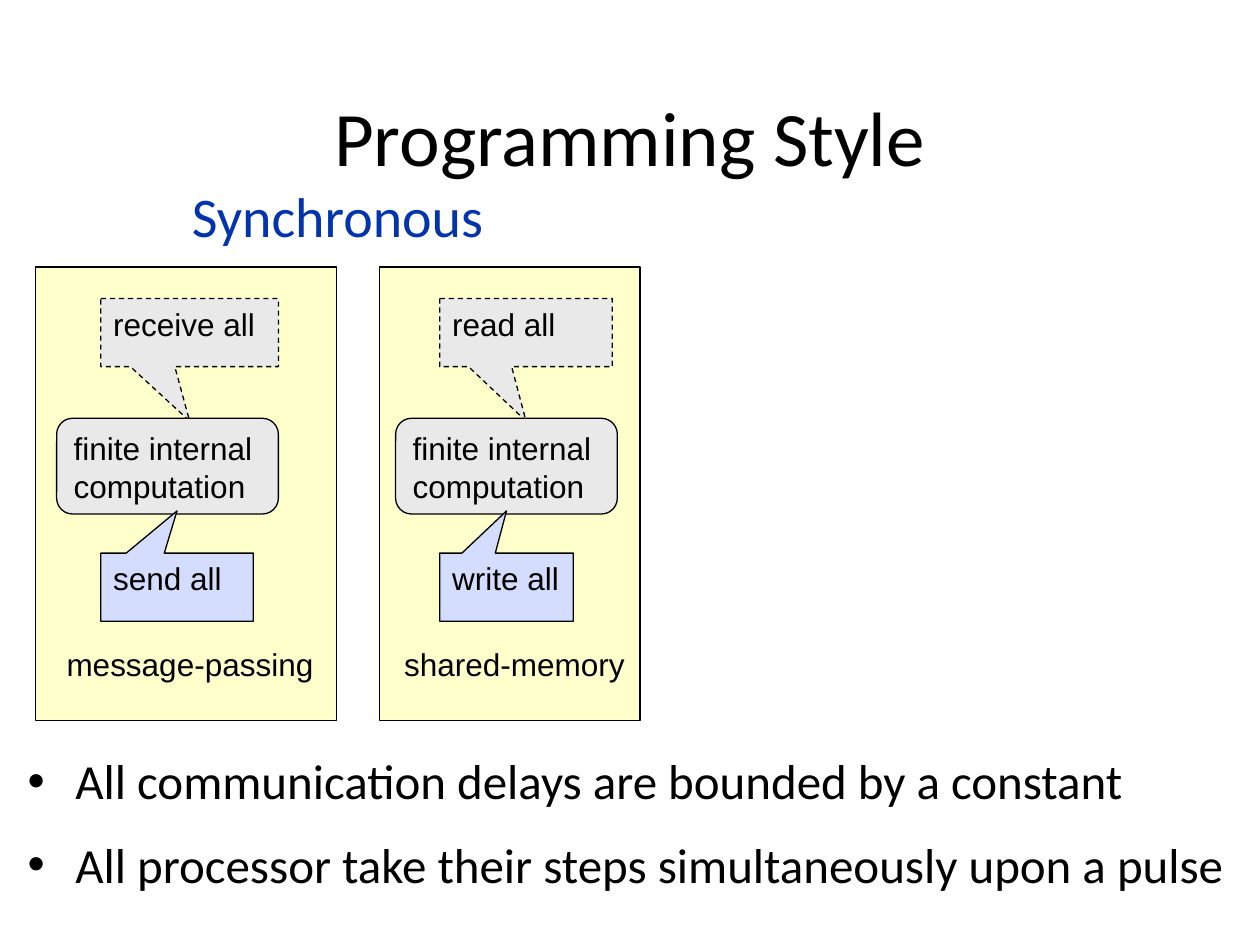
from lxml.etree import SubElement
from pptx import Presentation
from pptx.dml.color import RGBColor
from pptx.enum.dml import MSO_LINE
from pptx.enum.shapes import MSO_SHAPE as SHAPE
from pptx.enum.text import MSO_ANCHOR as ANCHOR, PP_ALIGN as ALIGN
from pptx.oxml.ns import qn
from pptx.util import Inches, Pt

COLORS = {"text": "000000", "heading": "0234AD", "panel": "FFFFCC",
          "input": "E9E9E9", "output": "D4DDFE"}
LABEL = {"size": Pt(18), "name": "Arial"}


def write(shape, lines, font, color="text", align=ALIGN.LEFT, anchor=ANCHOR.TOP, wrap=True):
    frame = shape.text_frame
    frame.word_wrap = wrap
    frame.vertical_anchor = anchor
    frame.text = "\n".join(lines)
    for paragraph in frame.paragraphs:
        paragraph.alignment = align
        for run in paragraph.runs:
            for attribute, value in font.items():
                setattr(run.font, attribute, value)
            run.font.color.rgb = RGBColor.from_string(COLORS[color])
    return frame


def add_block(shapes, kind, box, fill, label=None, adjustments=(), dash=None):
    block = shapes.add_shape(kind, *map(Inches, box))
    block.shadow.inherit = False
    block.fill.solid()
    block.fill.fore_color.rgb = RGBColor.from_string(COLORS[fill])
    block.line.color.rgb = RGBColor.from_string(COLORS["text"])
    block.line.width = Pt(0.75)
    if dash:
        block.line.dash_style = dash
    for index, value in enumerate(adjustments):
        block.adjustments[index] = value
    if label:
        write(block, [label], LABEL)


prs = Presentation()
prs.slide_width, prs.slide_height = Inches(10), Inches(7.5)
slide = prs.slides.add_slide(prs.slide_layouts[6])

# Title
title = slide.shapes.add_textbox(Inches(0.5), Inches(0.45), Inches(9), Inches(1.25))
write(title, ["Programming Style"], {"size": Pt(44), "name": "Calibri"},
      align=ALIGN.CENTER, anchor=ANCHOR.MIDDLE)

# Bulleted assumptions
assumptions = slide.shapes.add_textbox(Inches(0.12), Inches(5.91), Inches(9.88), Inches(0.99))
assumption_frame = write(assumptions, [
    "All communication delays are bounded by a constant",
    "All processor take their steps simultaneously upon a pulse",
], {"size": Pt(28), "name": "Calibri"})
for index, paragraph in enumerate(assumption_frame.paragraphs):
    properties = paragraph._p.get_or_add_pPr()
    properties.set("marL", str(Inches(0.38)))
    properties.set("indent", str(-Inches(0.38)))
    if index:
        paragraph.space_before = Pt(14)
    SubElement(properties, qn("a:buFont"), typeface="Arial")
    SubElement(properties, qn("a:buChar"), char="•")

# One panel per model: (left, width), step left, input, output, caption
models = [
    ((0.28, 2.39), 0.80, ("receive all", 1.41), ("send all", 1.21),
     ("message-passing", 0.43, 2.18)),
    ((3.01, 2.07), 3.49, ("read all", 1.37), ("write all", 1.06),
     ("shared-memory", 3.11, 2.04)),
]
for (left, width), step_left, (receive, receive_width), (send, send_width), caption in models:
    model = slide.shapes.add_group_shape().shapes
    add_block(model, SHAPE.RECTANGLE, (left, 2.12, width, 3.6), "panel")

    name, name_left, name_width = caption
    model_name = model.add_textbox(Inches(name_left), Inches(5.07),
                                   Inches(name_width), Inches(0.4))
    write(model_name, [name], LABEL, wrap=False)

    add_block(model, SHAPE.RECTANGULAR_CALLOUT, (step_left, 2.37, receive_width, 0.54),
              "input", receive, (0, 1.3), MSO_LINE.DASH)
    add_block(model, SHAPE.ROUNDED_RECTANGLE, (step_left - 0.35, 3.32, 1.76, 0.76),
              "input", "finite internal computation")
    add_block(model, SHAPE.RECTANGULAR_CALLOUT, (step_left, 4.39, send_width, 0.54),
              "output", send, (0, -1.12))

# Heading over both panels
heading = slide.shapes.add_textbox(Inches(0.25), Inches(1.39), Inches(4.86), Inches(0.64))
write(heading, ["Synchronous"], {"size": Pt(32), "name": "Calibri"}, "heading", ALIGN.CENTER)

prs.save("out.pptx")
